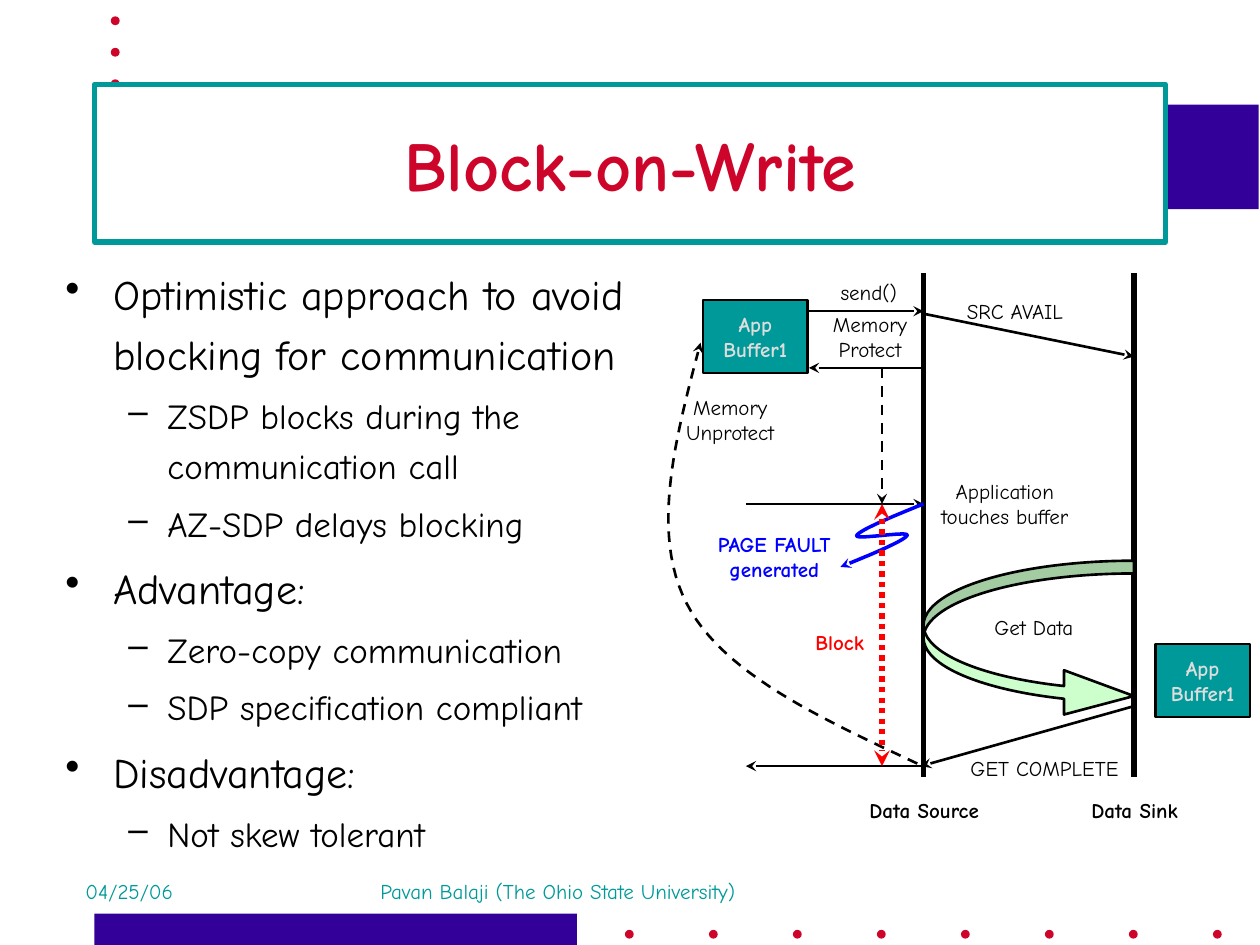
from dataclasses import dataclass

from lxml import etree
from pptx import Presentation
from pptx import util as u
from pptx.dml import color
from pptx.enum import dml, shapes, text
from pptx.oxml import ns


@dataclass(frozen=True)
class Theme:
    font: str = "Comic Neue"
    black: str = "000000"
    white: str = "FFFFFF"
    grey: str = "DDDDDD"
    teal: str = "009999"
    crimson: str = "CD052B"
    purple: str = "330099"
    blue: str = "0000FF"
    red: str = "FF0000"
    mint: str = "CCFFCC"
    title: int = 40
    levels: tuple = (24, 20)
    small: int = 12


T = Theme()
KIND = shapes.MSO_SHAPE
DASH = dml.MSO_LINE
MID = text.PP_ALIGN.CENTER
LEFT = text.PP_ALIGN.LEFT

BODY = [
    (0, "Optimistic approach to avoid blocking for communication"),
    (1, "ZSDP blocks during the communication call"),
    (1, "AZ-SDP delays blocking"),
    (0, "Advantage:"),
    (1, "Zero-copy communication"),
    (1, "SDP specification compliant"),
    (0, "Disadvantage:"),
    (1, "Not skew tolerant"),
]

# Time axes of the two hosts, and the moments shared by several parts
SOURCE, SINK = 7.33, 9
TOUCH, DONE = 4, 6.08


def rgb(code):
    return color.RGBColor.from_string(code)


def child(parent, tag, **attrs):
    return etree.SubElement(parent, ns.qn(tag), attrs)


def style(para, size, ink, bold=False, align=MID):
    para.alignment = align
    for run in para.runs:
        font = run.font
        font.name, font.size, font.bold = T.font, u.Pt(size), bold
        font.color.rgb = rgb(ink)


def stroke(item, ink, width, dash=None, head=False, tail=False):
    line = item.line
    line.color.rgb = rgb(ink)
    line.width = u.Pt(width)
    if dash:
        line.dash_style = dash
    for tag, shown in (("a:headEnd", head), ("a:tailEnd", tail)):
        if shown:
            child(line._get_or_add_ln(), tag, type="stealth")


def block(slide, kind, place, fill, edge=None, width=1.5):
    shape = slide.shapes.add_shape(kind, *map(u.Inches, place))
    shape.shadow.inherit = False
    shape.fill.solid()
    shape.fill.fore_color.rgb = rgb(fill)
    if edge:
        stroke(shape, edge, width)
    else:
        shape.line.fill.background()
    return shape


def label(slide, words, place, ink=T.black, bold=False, align=MID):
    box = slide.shapes.add_textbox(*map(u.Inches, place))
    box.text_frame.word_wrap = True
    box.text_frame.text = words
    style(box.text_frame.paragraphs[0], T.small, ink, bold, align)


def link(slide, start, end, ink=T.black, width=1.5, **ends):
    line = slide.shapes.add_connector(
        shapes.MSO_CONNECTOR.STRAIGHT, *map(u.Inches, (*start, *end)))
    stroke(line, ink, width, **ends)
    child(line._element.spPr, "a:effectLst")


def curve(slide, start, arcs, ink, width, dash=None, steps=24):
    """Draw an open chain of cubic arcs, each given as two handles and an end."""
    points, last = [], start
    for arc in arcs:
        knots = (last, *arc)
        for step in range(1, steps + 1):
            t = step / steps
            parts = ((1 - t) ** 3, 3 * t * (1 - t) ** 2, 3 * t * t * (1 - t), t ** 3)
            points.append([u.Inches(sum(w * k[axis] for w, k in zip(parts, knots)))
                           for axis in (0, 1)])
        last = arc[-1]
    pen = slide.shapes.build_freeform(*map(u.Inches, start))
    pen.add_line_segments(points, close=False)
    shape = pen.convert_to_shape()
    shape.shadow.inherit = False
    shape.fill.background()
    stroke(shape, ink, width, dash, tail=True)


def buffer(slide, place):
    shape = block(slide, KIND.RECTANGLE, place, T.teal, T.black)
    frame = shape.text_frame
    frame.word_wrap = False
    frame.vertical_anchor = text.MSO_ANCHOR.MIDDLE
    frame.text = "App\nBuffer1"
    for para in frame.paragraphs:
        style(para, T.small, T.grey, True)


def decor(slide):
    block(slide, KIND.RECTANGLE, (0.75, 7.25, 3.83, 0.25), T.purple)
    block(slide, KIND.RECTANGLE, (0.83, 0.83, 9.16, 0.83), T.purple)
    dots = [(4.96 + i * 2 / 3, 7.38) for i in range(8)]
    dots += [(0.88, 0.13 + i / 4) for i in range(3)]
    for x, y in dots:
        block(slide, KIND.OVAL, (x, y, 0.07, 0.07), T.crimson)
    label(slide, "04/25/06", (0.58, 6.92, 2.08, 0.42), T.teal, align=LEFT)
    label(slide, "Pavan Balaji (The Ohio State University)",
          (2.92, 6.92, 4.17, 0.42), T.teal, align=LEFT)


def title(slide):
    shape = block(slide, KIND.RECTANGLE, (0.75, 0.67, 8.5, 1.25), T.white, T.teal, 3)
    shape.text_frame.vertical_anchor = text.MSO_ANCHOR.MIDDLE
    shape.text_frame.text = "Block-on-Write"
    style(shape.text_frame.paragraphs[0], T.title, T.crimson, True)


def body(slide):
    box = slide.shapes.add_textbox(*map(u.Inches, (0.42, 2, 5.25, 4.92)))
    frame = box.text_frame
    frame.word_wrap = True
    for i, (level, words) in enumerate(BODY):
        para = frame.add_paragraph() if i else frame.paragraphs[0]
        para.text = words
        para.level = level
        para.line_spacing = 1.2
        size = T.levels[level]
        para.space_before = u.Pt(size * 0.2 if i else 0)
        left, hang, mark = ((0.38, 0.38, "•"), (0.81, 0.31, "–"))[level]
        props = para._p.get_or_add_pPr()
        props.set("marL", str(u.Inches(left)))
        props.set("indent", str(-u.Inches(hang)))
        child(props, "a:buChar", char=mark)
        style(para, size, T.black, align=LEFT)


def diagram(slide):
    # Host axes
    for x, name in ((SOURCE, "Data Source"), (SINK, "Data Sink")):
        link(slide, (x, 2.17), (x, 6.17), width=3)
        label(slide, name, (x - 0.66, 6.28, 1.33, 0.3), bold=True)

    # Messages and events
    link(slide, (6.25, 2.47), (SOURCE, 2.47), tail=True)
    link(slide, (6.42, 2.92), (SOURCE, 2.92), head=True)
    link(slide, (SOURCE, 2.49), (SINK, 2.83), tail=True)
    link(slide, (7.31, DONE), (8.98, 5.61), head=True)
    link(slide, (5.92, TOUCH), (SOURCE, TOUCH), tail=True)
    link(slide, (5.92, DONE), (SOURCE, DONE), head=True)
    link(slide, (7, 2.92), (7, TOUCH), dash=DASH.DASH, tail=True)

    # Data transfer and buffers
    arrow = block(slide, KIND.CURVED_RIGHT_ARROW, (SOURCE, 4.45, 1.67, 1.25),
                  T.mint, T.black)
    for i, value in enumerate((0.081, 0.281, 0.444)):
        arrow.adjustments[i] = value
    buffer(slide, (5.58, 2.38, 0.83, 0.58))
    buffer(slide, (9.17, 5.11, 0.75, 0.58))

    # Page fault, unprotect path and blocked time
    curve(slide, (SOURCE, TOUCH),
          [((7.08, 4.1), (6.82, 4.21), (6.8, 4.25)),
           ((6.78, 4.29), (7.22, 4.21), (7.2, 4.25)),
           ((7.18, 4.29), (6.92, 4.4), (6.67, 4.5))], T.blue, 2)
    curve(slide, (7.28, 6.06),
          [((6.51, 5.7), (5.73, 5.34), (5.45, 4.79)),
           ((5.16, 4.23), (5.36, 3.47), (5.56, 2.72))], T.black, 1.5, DASH.DASH)
    link(slide, (7, TOUCH), (7, DONE), T.red, 3,
         dash=DASH.ROUND_DOT, head=True, tail=True)

    # Labels
    for words, place in (
            ("send()", (6.5, 2.17, 0.79, 0.3)),
            ("Memory Protect", (6.42, 2.42, 0.97, 0.5)),
            ("SRC AVAIL", (7.5, 2.32, 1.11, 0.3)),
            ("Memory Unprotect", (5.25, 3.08, 1.09, 0.5)),
            ("Application touches buffer", (7.25, 3.75, 1.45, 0.5)),
            ("Get Data", (7.58, 4.83, 1.25, 0.3)),
            ("GET COMPLETE", (7.5, 5.95, 1.58, 0.3))):
        label(slide, words, place)
    label(slide, "PAGE FAULT generated", (5.42, 4.17, 1.45, 0.5), T.blue, True)
    label(slide, "Block", (6.25, 4.95, 0.83, 0.3), T.red, True)


def main():
    deck = Presentation()
    deck.slide_width, deck.slide_height = u.Inches(10), u.Inches(7.5)
    slide = deck.slides.add_slide(deck.slide_layouts[6])
    for part in (decor, title, body, diagram):
        part(slide)
    deck.save("out.pptx")


if __name__ == "__main__":
    main()
